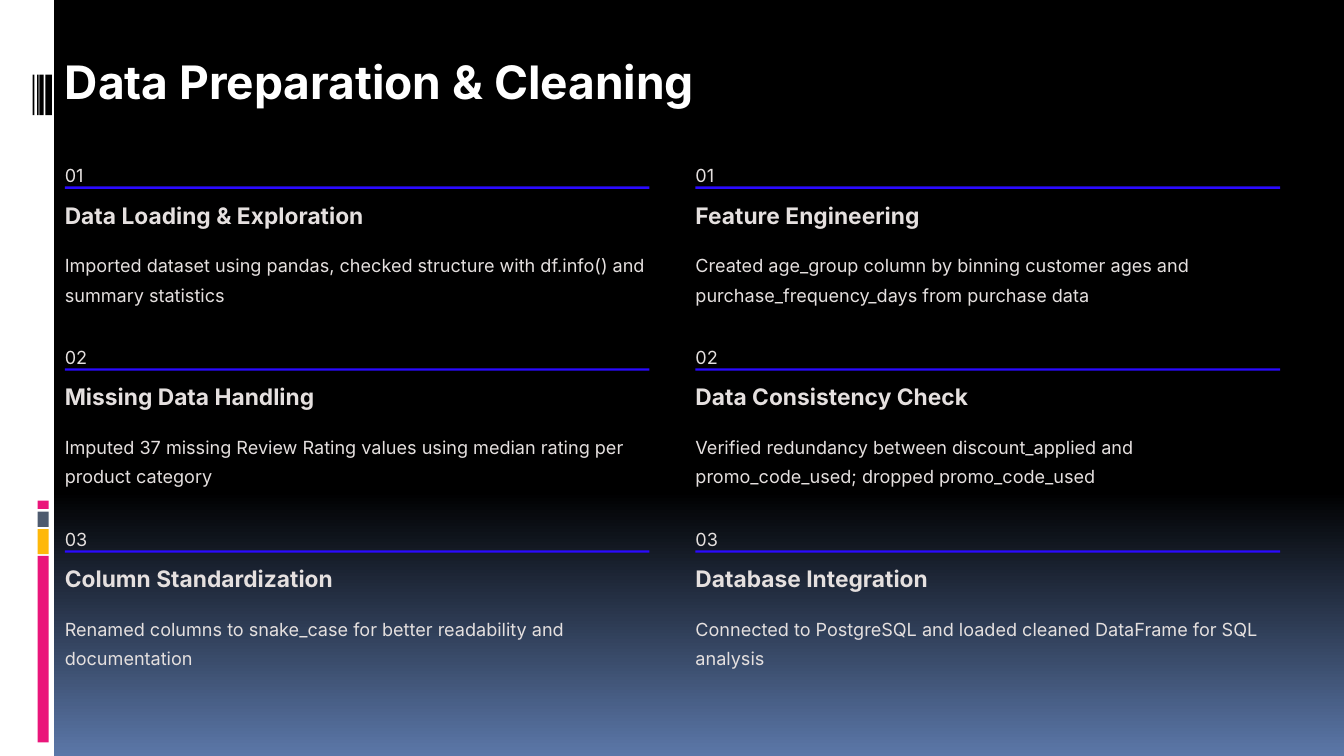
import pptx
import pptx.dml.color
import pptx.enum.shapes
import pptx.enum.text
import pptx.util

Cm = pptx.util.Cm
Pt = pptx.util.Pt

WIDTH, HEIGHT = 40.64, 22.86
PALE, BLUE, PINK = "E5E0DF", "2B0AFF", "EA157A"

# Each step: heading, heading width, body
LEFT = [
    ("Data Loading & Exploration", 9.17,
     "Imported dataset using pandas, checked structure with df.info() "
     "and summary statistics"),
    ("Missing Data Handling", 7.67,
     "Imputed 37 missing Review Rating values using median rating per "
     "product category"),
    ("Column Standardization", 8.23,
     "Renamed columns to snake_case for better readability and "
     "documentation"),
]
RIGHT = [
    ("Feature Engineering", 6.99,
     "Created age_group column by binning customer ages and "
     "purchase_frequency_days from purchase data"),
    ("Data Consistency Check", 8.38,
     "Verified redundancy between discount_applied and promo_code_used; "
     "dropped promo_code_used"),
    ("Database Integration", 7.14,
     "Connected to PostgreSQL and loaded cleaned DataFrame for SQL "
     "analysis"),
]


def paint(color, code):
    color.rgb = pptx.dml.color.RGBColor.from_string(code)


def add_bar(slide, x, y, w, h, code):
    kind = pptx.enum.shapes.MSO_SHAPE.RECTANGLE
    bar = slide.shapes.add_shape(kind, Cm(x), Cm(y), Cm(w), Cm(h))
    bar.shadow.inherit = False
    bar.fill.solid()
    paint(bar.fill.fore_color, code)
    bar.line.fill.background()


def set_text(shape, text, size, lead, code, bold=False, wrap=False):
    """Fill a shape with one left-aligned paragraph, without insets."""
    frame = shape.text_frame
    frame.margin_left = frame.margin_right = 0
    frame.margin_top = frame.margin_bottom = 0
    frame.auto_size = pptx.enum.text.MSO_AUTO_SIZE.NONE
    frame.vertical_anchor = pptx.enum.text.MSO_ANCHOR.TOP
    frame.word_wrap = wrap
    frame.text = text
    para = frame.paragraphs[0]
    para.alignment = pptx.enum.text.PP_ALIGN.LEFT
    para.line_spacing = Pt(lead)
    para.font.name = "Inter"
    para.font.size = Pt(size)
    para.font.bold = bold
    paint(para.font.color, code)


def add_label(slide, x, y, w, h, *args, **style):
    box = slide.shapes.add_textbox(Cm(x), Cm(y), Cm(w), Cm(h))
    set_text(box, *args, **style)


def add_ground(slide):
    fill = slide.background.fill
    fill.gradient()
    fill.gradient_angle = 270
    for stop, place, code in zip(
            fill.gradient_stops, (0.65, 1), ("000000", "5B77A8")):
        stop.position = place
        paint(stop.color, code)


def add_side(slide, x, y, w, h):
    """Draw the white strip with its colour blocks and barcode."""
    add_bar(slide, x, y, w, h, "FFFFFF")
    blocks = [(16.81, 5.64, PINK), (16, 0.76, "FEB80A"),
              (15.47, 0.46, "4E5B6F"), (15.14, 0.25, PINK)]
    for top, tall, code in blocks:
        add_bar(slide, x + 1.14, y + top, 0.33, tall, code)
    for left, wide in [(1.37, 0.2), (1.19, 0.13), (1.12, 0.05), (0.99, 0.05)]:
        add_bar(slide, x + left, y + 2.26, wide, 1.22, "000000")


def add_title(slide, x, y, w, h):
    title = slide.shapes.title
    title.left, title.top, title.width, title.height = map(Cm, (x, y, w, h))
    set_text(title, "Data Preparation & Cleaning", 39.5, 49.5, "FFFFFF",
             bold=True)


def add_column(slide, x, y, w, pitch, steps):
    for index, (head, wide, body) in enumerate(steps):
        top = y + index * pitch
        add_label(slide, x, top, 0.56, 0.71, f"{index + 1:02}",
                  15.5, 25, PALE)
        add_bar(slide, x, top + 0.89, w, 0.07, BLUE)
        add_label(slide, x, top + 1.3, wide, 0.86, head, 19.5, 24.5, PALE,
                  bold=True)
        add_label(slide, x, top + 2.73, w, 1.78, body, 15.5, 25, PALE,
                  wrap=True)


def main():
    deck = pptx.Presentation()
    deck.slide_width, deck.slide_height = Cm(WIDTH), Cm(HEIGHT)
    slide = deck.slides.add_slide(deck.slide_layouts[5])
    add_ground(slide)
    add_side(slide, 0, 0, 1.63, HEIGHT)
    add_title(slide, 1.96, 1.55, 19.13, 1.75)
    for x, steps in [(1.96, LEFT), (21.03, RIGHT)]:
        add_column(slide, x, 4.75, 17.68, 5.5, steps)
    deck.save("out.pptx")


if __name__ == "__main__":
    main()
